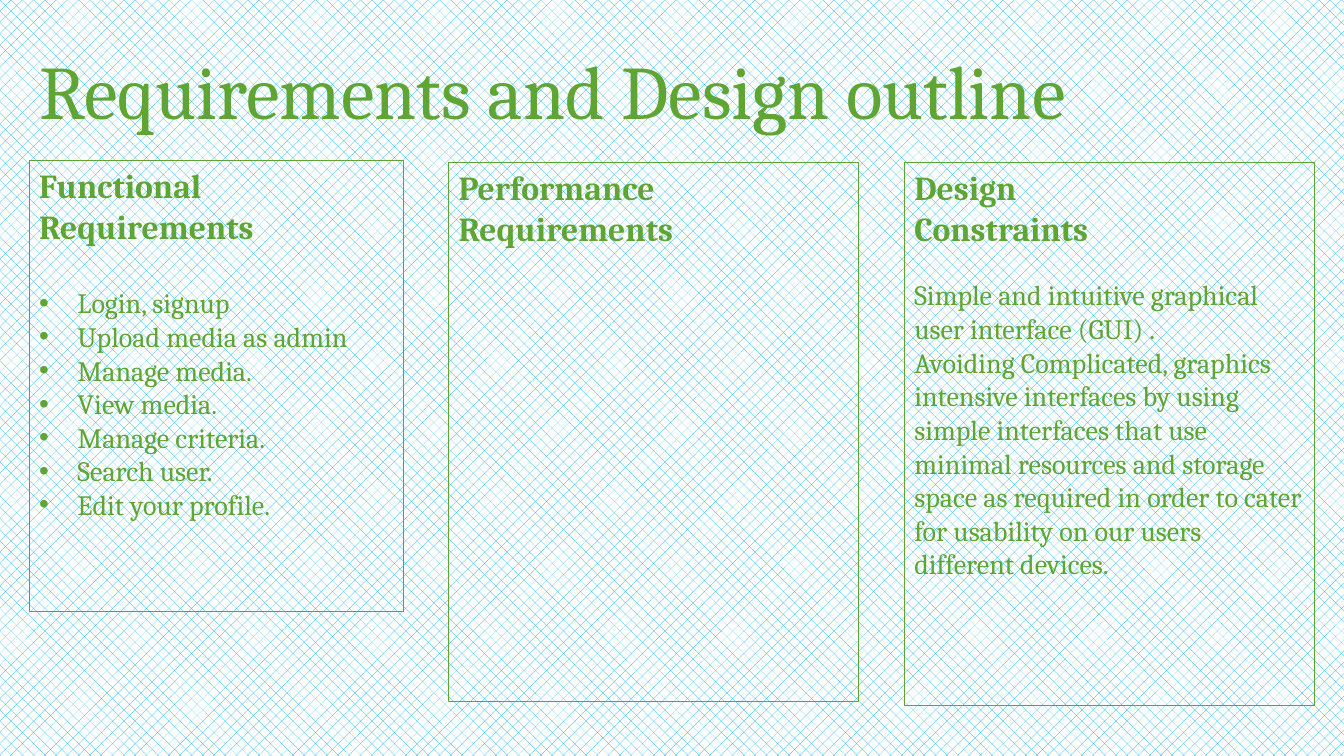
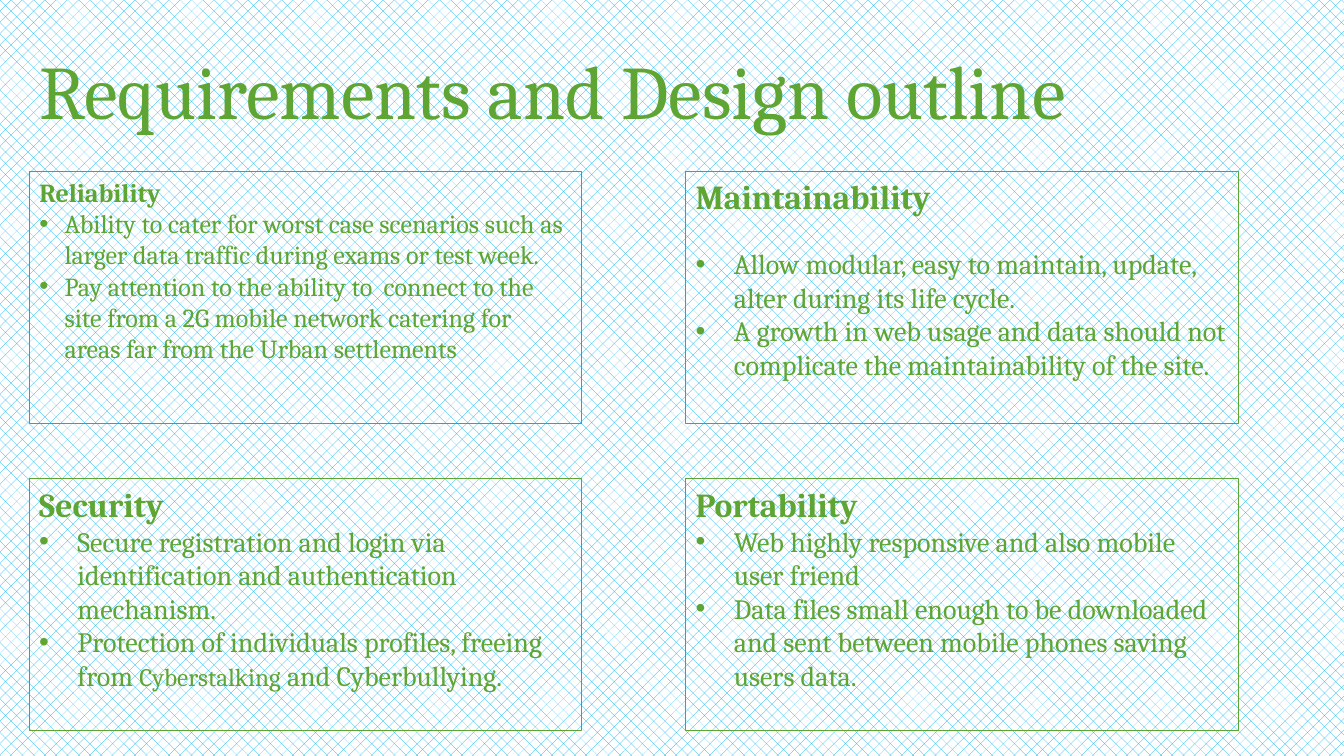
from lxml.etree import SubElement
from pptx import Presentation
from pptx.dml.color import RGBColor
from pptx.enum.dml import MSO_PATTERN
from pptx.enum.text import MSO_ANCHOR, MSO_AUTO_SIZE, PP_ALIGN
from pptx.oxml.ns import qn
from pptx.util import Inches, Pt

COLORS = {"green": "5FA534", "hatch": "00B0F0", "paper": "FFFFFF"}
GREEN = RGBColor.from_string(COLORS["green"])
FONT = "Cambria"
TITLE = "Requirements and Design outline"
SMALL_TERM = "Cyberstalking"
FRAME_FORMAT = {
    "word_wrap": True,
    "auto_size": MSO_AUTO_SIZE.NONE,
    "vertical_anchor": MSO_ANCHOR.TOP,
}
LEFT_EDGE = 0.29


def add_run(paragraph, text, size, bold=False):
    run = paragraph.add_run()
    run.text = text
    font_format = {"name": FONT, "size": Pt(size), "bold": bold}
    for name, value in font_format.items():
        setattr(run.font, name, value)
    run.font.color.rgb = GREEN


def fill_panel(panel, headings, items, gap=0, indent=0.38, heading_size=24, item_size=20):
    panel.line.color.rgb = GREEN
    panel.line.width = Pt(0.75)
    frame = panel.text_frame
    for name, value in FRAME_FORMAT.items():
        setattr(frame, name, value)
    for index, text in enumerate(headings + items):
        paragraph = frame.paragraphs[0] if index == 0 else frame.add_paragraph()
        is_heading = index < len(headings)
        paragraph.alignment = PP_ALIGN.LEFT
        paragraph.space_before = Pt(gap if index == len(headings) else 0)
        properties = paragraph._p.get_or_add_pPr()
        hang = 0 if is_heading else Inches(indent)
        properties.set("marL", str(hang))
        properties.set("indent", str(-hang))
        if hang:
            SubElement(properties, qn("a:buFont"), typeface="Arial")
            SubElement(properties, qn("a:buChar"), char="•")
        else:
            SubElement(properties, qn("a:buNone"))
        if is_heading:
            add_run(paragraph, text, heading_size, bold=True)
            continue
        for piece in filter(None, text.partition(SMALL_TERM)):
            add_run(paragraph, piece, 18 if piece == SMALL_TERM else item_size)


prs = Presentation()
prs.slide_width = Inches(13.33)
prs.slide_height = Inches(7.5)

backdrop = prs.slide_master.background.fill
backdrop.patterned()
backdrop.pattern = MSO_PATTERN.PERCENT_25
backdrop.fore_color.rgb = RGBColor.from_string(COLORS["hatch"])
backdrop.back_color.rgb = RGBColor.from_string(COLORS["paper"])

outline = prs.slides.add_slide(prs.slide_layouts[5])
qualities = prs.slides.add_slide(prs.slide_layouts[1])

for slide in (outline, qualities):
    title = slide.shapes.title
    title.left, title.top = Inches(LEFT_EDGE), Inches(0.25)
    title.width, title.height = Inches(11.8), Inches(1.15)
    title.text_frame.auto_size = MSO_AUTO_SIZE.NONE
    title.text_frame.vertical_anchor = MSO_ANCHOR.BOTTOM
    title_line = title.text_frame.paragraphs[0]
    title_line.alignment = PP_ALIGN.LEFT
    title_line.line_spacing = 0.9
    add_run(title_line, TITLE, 54)

requirements = [
    (
        (LEFT_EDGE, 1.59, 3.71, 4.48),
        ["Functional Requirements"],
        [
            "Login, signup",
            "Upload media as admin",
            "Manage media.",
            "View media.",
            "Manage criteria.",
            "Search user.",
            "Edit your profile.",
        ],
        {"gap": 28.5},
    ),
    ((4.45, 1.61, 4.07, 5.35), ["Performance Requirements"], [], {}),
    (
        (8.97, 1.61, 4.07, 5.39),
        ["Design", "Constraints"],
        [
            "Simple and intuitive graphical user interface (GUI) .",
            "Avoiding Complicated, graphics intensive interfaces by using",
            "simple interfaces that use minimal resources and storage space as required "
            "in order to cater for usability on our users different devices.",
        ],
        {"gap": 21.5, "indent": 0},
    ),
]
for box, headings, items, options in requirements:
    column = outline.shapes.add_textbox(*map(Inches, box))
    fill_panel(column, headings, items, **options)

quality_panels = [
    (
        "Reliability",
        [
            "Ability to cater for worst case scenarios such as larger data traffic "
            "during exams or test week.",
            "Pay attention to the ability to  connect to the site from a 2G mobile "
            "network catering for areas far from the Urban settlements",
        ],
        {"indent": 0.25, "heading_size": 18.6, "item_size": 18.6},
    ),
    (
        "Maintainability",
        [
            "Allow modular, easy to maintain, update, alter during its life cycle.",
            "A growth in web usage and data should not complicate the "
            "maintainability of the site.",
        ],
        {"gap": 21.5},
    ),
    (
        "Security",
        [
            "Secure registration and login via identification and authentication mechanism.",
            "Protection of individuals profiles, freeing from Cyberstalking and Cyberbullying.",
        ],
        {},
    ),
    (
        "Portability",
        [
            "Web highly responsive and also mobile user friend",
            "Data files small enough to be downloaded and sent between mobile phones "
            "saving users data.",
        ],
        {},
    ),
]
for index, (heading, items, options) in enumerate(quality_panels):
    row, column = divmod(index, 2)
    box = [Inches(n) for n in (LEFT_EDGE + column * 6.51, 1.7 + row * 3.05, 5.48, 2.5)]
    if index == 0:
        panel = qualities.placeholders[1]
        panel.left, panel.top, panel.width, panel.height = box
    else:
        panel = qualities.shapes.add_textbox(*box)
    fill_panel(panel, [heading], items, **options)

prs.save("out.pptx")
